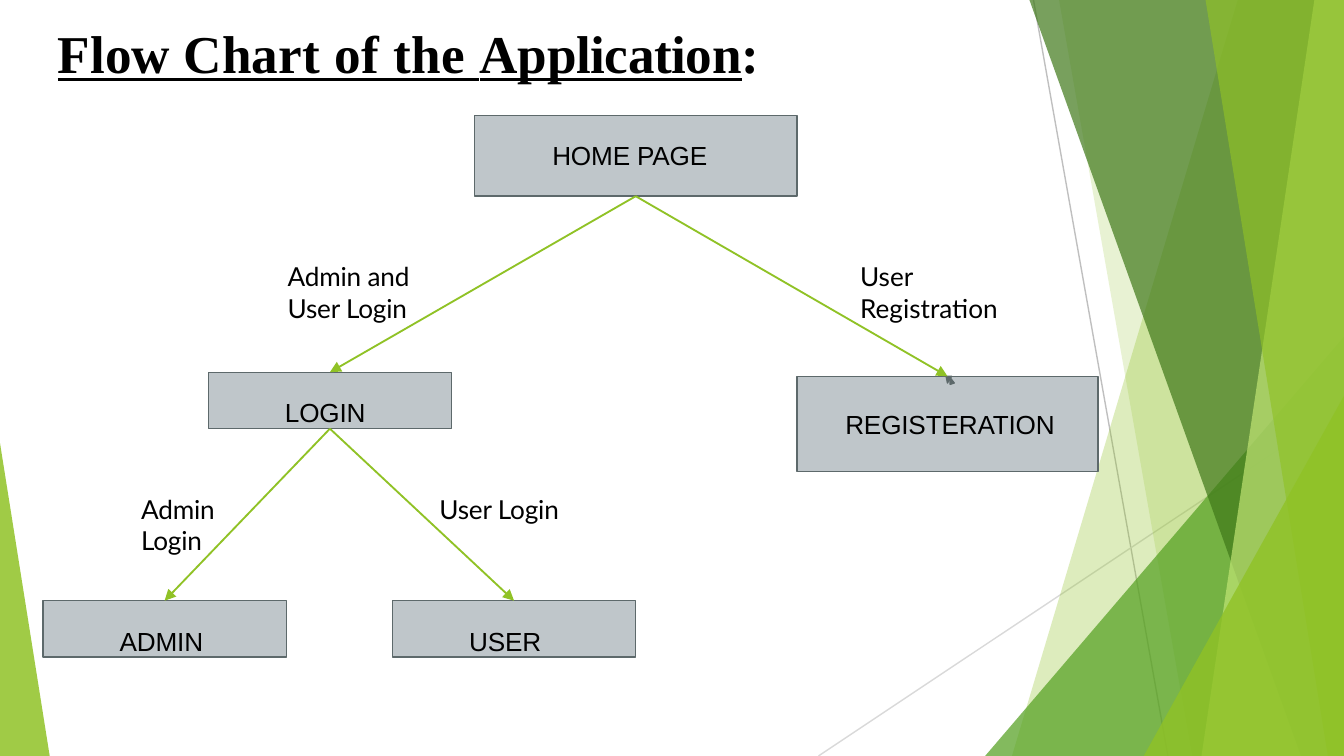
from lxml import etree
from pptx import Presentation, util as u
from pptx.dml.color import RGBColor
from pptx.enum import shapes, text
from pptx.oxml import ns

COLOURS = {"ink": "000000", "node": "BFC6CA", "edge": "5D696B", "lime": "90C226",
           "green": "54A021", "forest": "3F7819", "pale": "C0E474",
           "steep": "BFBFBF", "shallow": "D9D9D9"}
WIDTH = 10
HEIGHT = WIDTH * 9 / 16
LABEL = {"name": "Lato", "size": u.Pt(14), "bold": False}
NODE = {**LABEL, "name": "Arial"}
TITLE = {"name": "Times New Roman", "size": u.Pt(28.5), "bold": True, "underline": True}
BOTTOM, TOP = 2, 0


def rgb(name):
    """Return the named colour."""
    return RGBColor.from_string(COLOURS[name])


def lengths(*values):
    """Turn numbers into inch lengths."""
    return [u.Inches(value) for value in values]


def paint(shape, fill, line=None, opacity=100):
    """Give a shape its fill, outline and opacity."""
    shape.shadow.inherit = False
    shape.fill.solid()
    shape.fill.fore_color.rgb = rgb(fill)
    if opacity < 100:
        colour = shape.fill._xPr.find(".//" + ns.qn("a:srgbClr"))
        etree.SubElement(colour, ns.qn("a:alpha"), val=str(opacity * 1000))
    if line:
        shape.line.color.rgb = rgb(line)
        shape.line.width = u.Pt(0.75)
    else:
        shape.line.fill.background()


def frame_text(shape, top, left=0.01):
    """Set the text frame margins and return its first paragraph."""
    frame = shape.text_frame
    values = {"word_wrap": True, "vertical_anchor": text.MSO_ANCHOR.TOP,
              "auto_size": text.MSO_AUTO_SIZE.NONE, "margin_left": u.Inches(left),
              "margin_top": u.Inches(top), "margin_right": 0, "margin_bottom": 0}
    for key, value in values.items():
        setattr(frame, key, value)
    para = frame.paragraphs[0]
    para.alignment = text.PP_ALIGN.LEFT
    return para


def add_span(para, words, font, spacing=0):
    """Append a formatted run with letter spacing in points."""
    span = para.add_run()
    span.text = words
    for key, value in font.items():
        setattr(span.font, key, value)
    span.font.color.rgb = rgb("ink")
    span.font._element.set("spc", str(round(spacing * 100)))


def add_line(page, start, end, colour, width):
    """Draw a plain straight line."""
    line = page.shapes.add_connector(shapes.MSO_CONNECTOR.STRAIGHT,
                                     *lengths(*start, *end))
    line.line.color.rgb = rgb(colour)
    line.line.width = u.Pt(width)
    etree.SubElement(line._element.spPr, ns.qn("a:effectLst"))
    return line


def add_arrow(page, parent, child):
    """Connect the bottom of one node to the top of another."""
    arrow = add_line(page, (0, 0), (1, 1), "lime", 1)
    arrow.begin_connect(parent, BOTTOM)
    arrow.end_connect(child, TOP)
    etree.SubElement(arrow.line._get_or_add_ln(), ns.qn("a:tailEnd"), type="triangle")


def add_polygon(page, points, fill, line=None, opacity=100):
    """Draw a closed outline through the points."""
    start, *rest = [lengths(*point) for point in points]
    builder = page.shapes.build_freeform(*start)
    builder.add_line_segments(rest, close=True)
    paint(builder.convert_to_shape(), fill, line, opacity)


def add_triangle(page, box, apex, fill, opacity):
    """Draw a triangle with its apex at a fraction of the width."""
    triangle = page.shapes.add_shape(shapes.MSO_SHAPE.ISOSCELES_TRIANGLE, *lengths(*box))
    triangle.adjustments[0] = apex
    paint(triangle, fill, opacity=opacity)


def add_facets(page, box):
    """Draw the layered facets against the right side and the left corner."""
    left, top, width, height = box
    right, bottom = left + width, top + height

    def band(upper, lower, fill, opacity):
        """Fill from a slanted edge to the right side."""
        points = [(left + upper, top), (right, top), (right, bottom), (left + lower, bottom)]
        add_polygon(page, points, fill, opacity=opacity)

    def corner(inset, rise, fill, opacity):
        """Fill the lower right corner."""
        add_triangle(page, (right - inset, bottom - rise, inset, rise), 1, fill, opacity)

    add_line(page, (left + 7.69, top), (left + 8.69, bottom), "steep", 0.75)
    add_line(page, (right, top + 3.02), (left + 6.09, bottom), "shallow", 0.75)
    band(9.21, 7.53, "lime", 30)
    band(7.88, 8.87, "lime", 20)
    corner(2.67, 3.12, "green", 72)
    band(7.66, 9.68, "forest", 70)
    band(9.78, 8.94, "pale", 70)
    band(8.97, 9.88, "lime", 65)
    corner(1.49, 2.68, "lime", 80)
    add_triangle(page, (left, bottom - 2.33, 0.37, 2.33), 0, "lime", 85)


def add_title(page, box):
    """Place the underlined heading in the title placeholder."""
    title = page.shapes.title
    title.left, title.top, title.width, title.height = lengths(*box)
    para = frame_text(title, 0.02)
    add_span(para, "Flow Chart ", TITLE, 0.1)
    add_span(para, "of the ", TITLE, 0.3)
    add_span(para, "Application", TITLE, -0.2)
    add_span(para, ":", {**TITLE, "underline": False}, -0.2)


def add_node(page, box, words, indent=0.57, drop=0.18):
    """Draw one box of the chart."""
    node = page.shapes.add_shape(shapes.MSO_SHAPE.RECTANGLE, *lengths(*box))
    paint(node, "node", "edge")
    add_span(frame_text(node, drop, indent), words, NODE, -0.1)
    return node


def add_label(page, box, words, spacing=-0.1):
    """Place the caption of an arrow."""
    label = page.shapes.add_textbox(*lengths(*box))
    add_span(frame_text(label, 0.01), words, LABEL, spacing)


def add_flow(page, box):
    """Draw the nodes, arrows and captions of the flow chart."""
    left, top, _, _ = box

    def place(x, y, width, height):
        """Shift a box into the chart area."""
        return left + x, top + y, width, height

    small = 1.81, 0.42
    home = add_node(page, place(3.21, 0, 2.4, 0.6), "HOME PAGE", 0.58)
    login = add_node(page, place(1.23, 1.91, *small), "LOGIN")
    register = add_node(page, place(5.61, 1.94, 2.24, 0.71), "REGISTERATION", 0.36, 0.24)
    user = add_node(page, place(2.6, 3.61, *small), "USER")
    admin = add_node(page, place(0, 3.61, *small), "ADMIN")
    for mark in ([(6.72, 1.94), (6.76, 1.94), (6.73, 1.99)],
                 [(6.75, 1.95), (6.78, 1.99), (6.75, 2.0)]):
        add_polygon(page, [(left + x, top + y) for x, y in mark], "edge", "edge")
    for parent, child in ((home, register), (home, login), (login, user), (login, admin)):
        add_arrow(page, parent, child)
    add_label(page, place(1.81, 1.07, 1.01, 0.49), "Admin and User Login")
    add_label(page, place(6.07, 1.07, 1.4, 0.49), "User Registration", 0)
    add_label(page, place(0.72, 2.8, 1.01, 0.49), "Admin Login")
    add_label(page, place(2.94, 2.8, 1.01, 0.25), "User Login")


def main():
    """Build and save the deck."""
    deck = Presentation()
    deck.slide_width, deck.slide_height = lengths(WIDTH, HEIGHT)
    page = deck.slides.add_slide(deck.slide_layouts.get_by_name("Title Only"))
    add_facets(page, (0, 0, WIDTH, HEIGHT))
    add_title(page, (0.42, 0.13, 5.44, 0.51))
    add_flow(page, (0.32, 0.86, 7.85, 4.03))
    deck.save("out.pptx")


if __name__ == "__main__":
    main()
